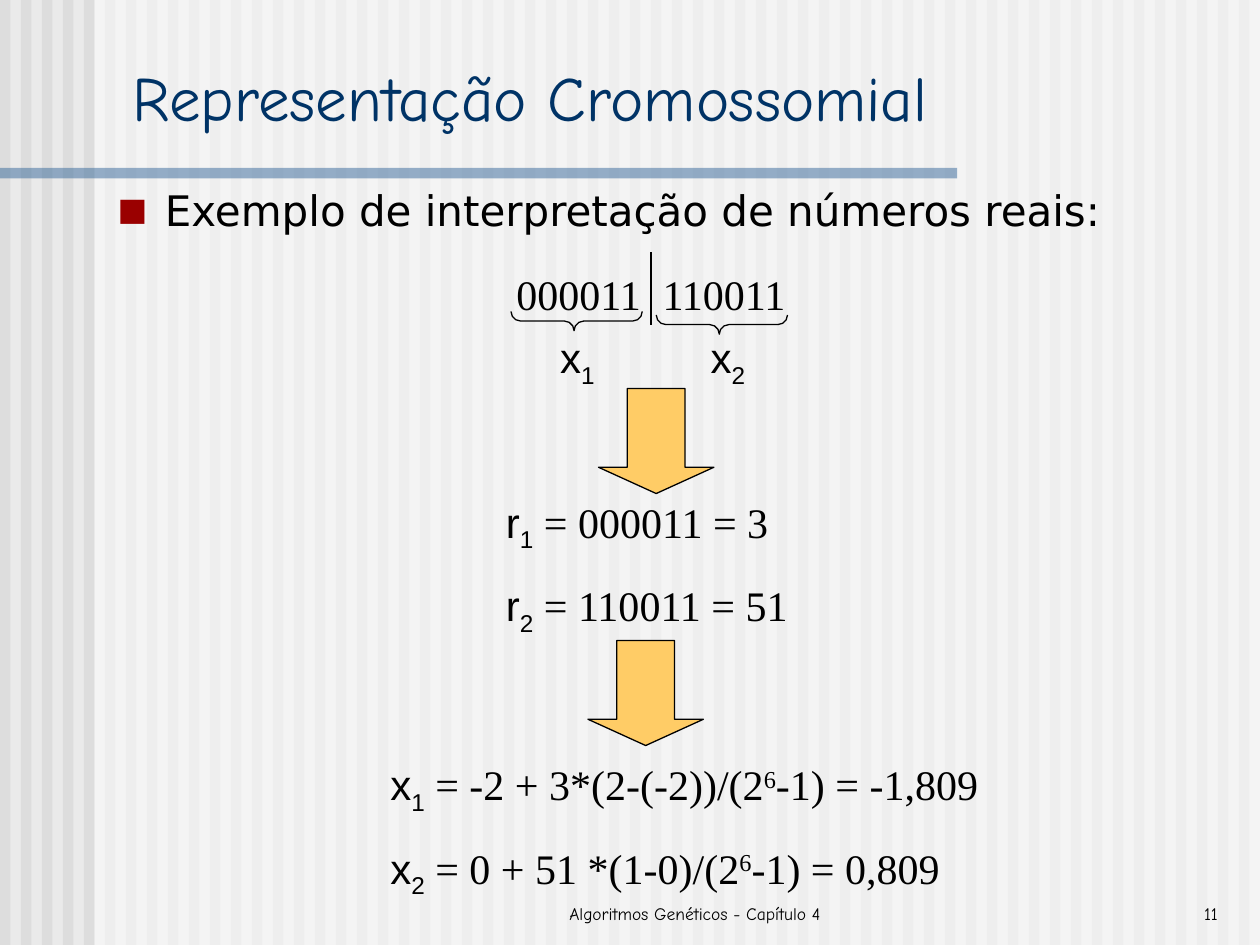
from lxml.etree import SubElement
from pptx import Presentation
from pptx.dml.color import RGBColor
from pptx.enum.shapes import MSO_CONNECTOR as CONN, MSO_SHAPE as SHAPE
from pptx.enum.text import MSO_ANCHOR as ANCHOR, MSO_AUTO_SIZE as AUTO, PP_ALIGN as ALIGN
from pptx.oxml.ns import qn
from pptx.util import Pt


def rgb(value):
    return RGBColor.from_string(value)


class Slide:
    title_font, body_font = "Comic Neue", "DejaVu Sans"
    serif, sans = "Times New Roman", "Arial"
    ink, title_ink, bullet_ink = "000000", "003366", "9A0000"

    def __init__(self, prs):
        self.s = prs.slides.add_slide(prs.slide_layouts[1])
        fill = self.s.background.fill
        fill.solid()
        fill.fore_color.rgb = rgb("EAEAEA")

    def shape(self, kind, box, fill=None, line=None, alpha=None, adj=(), rotation=0):
        sp = self.s.shapes.add_shape(kind, *map(Pt, box))
        sp.shadow.inherit = False
        sp.rotation = rotation
        for i, value in enumerate(adj):
            sp.adjustments[i] = value
        if fill:
            sp.fill.solid()
            sp.fill.fore_color.rgb = rgb(fill)
        else:
            sp.fill.background()
        if alpha:
            clr = sp.element.spPr.find(qn("a:solidFill")).find(qn("a:srgbClr"))
            SubElement(clr, qn("a:alpha"), val=str(alpha * 1000))
        if line:
            sp.line.color.rgb = rgb(line)
            sp.line.width = Pt(0.75)
        else:
            sp.line.fill.background()

    def line(self, x1, y1, x2, y2, width):
        cxn = self.s.shapes.add_connector(CONN.STRAIGHT, *map(Pt, (x1, y1, x2, y2)))
        cxn.line.color.rgb = rgb(self.ink)
        cxn.line.width = Pt(width)
        SubElement(cxn.element.spPr, qn("a:effectLst"))

    def run(self, p, text, font, size=24, color=ink, base=0):
        r = p.add_run()
        r.text = text
        r.font.name = font
        r.font.size = Pt(size)
        r.font.color.rgb = rgb(color)
        if base:
            r.font._element.set("baseline", str(base * 1000))

    def placeholder(self, sp, box, anchor):
        self.s.shapes.element.append(sp.element)
        sp.left, sp.top, sp.width, sp.height = map(Pt, box)
        tf = sp.text_frame
        tf.auto_size = AUTO.NONE
        tf.vertical_anchor = anchor
        return tf.paragraphs[0]

    def title(self, text, box):
        p = self.placeholder(self.s.shapes.title, box, ANCHOR.BOTTOM)
        p.alignment = ALIGN.LEFT
        self.run(p, text, self.title_font, 36, self.title_ink)

    def bullet(self, text, box):
        p = self.placeholder(self.s.placeholders[1], box, ANCHOR.TOP)
        p.alignment = ALIGN.JUSTIFY
        p.space_before = Pt(6)
        pPr = p._p.get_or_add_pPr()
        pPr.set("marL", str(Pt(27)))
        pPr.set("indent", str(Pt(-27)))
        clr = SubElement(pPr, qn("a:buClr"))
        SubElement(clr, qn("a:srgbClr"), val=self.bullet_ink)
        SubElement(pPr, qn("a:buSzPct"), val="75000")
        SubElement(pPr, qn("a:buFont"), typeface=self.body_font)
        SubElement(pPr, qn("a:buChar"), char="■")
        self.run(p, text, self.body_font)

    def text(self, box, lines, align=ALIGN.LEFT, anchor=ANCHOR.TOP, wrap=True, tab=None):
        tf = self.s.shapes.add_textbox(*map(Pt, box)).text_frame
        tf.word_wrap = wrap
        tf.vertical_anchor = anchor
        for i, runs in enumerate(lines):
            p = tf.add_paragraph() if i else tf.paragraphs[0]
            p.alignment = align
            if i:
                p.space_before = Pt(15)
            if tab:
                tabs = SubElement(p._p.get_or_add_pPr(), qn("a:tabLst"))
                SubElement(tabs, qn("a:tab"), pos=str(Pt(tab)), algn="l")
            for run in runs:
                self.run(p, **run)

    def variable(self, name, index):
        return [dict(text=name, font=self.sans), dict(text=index, font=self.sans, base=-25)]

    def serif_run(self, text, base=0):
        return dict(text=text, font=self.serif, base=base)

    def formula(self, name, index, head, tail):
        return self.variable(name, index) + [
            self.serif_run(head), self.serif_run("6", 30), self.serif_run(tail)]

    def footer(self, text, box, align):
        run = dict(text=text, font=self.title_font, size=10)
        self.text(box, [[run]], align, ANCHOR.BOTTOM)


def main():
    prs = Presentation()
    prs.slide_width, prs.slide_height = Pt(720), Pt(540)
    s = Slide(prs)

    for i in range(60):
        s.shape(SHAPE.RECTANGLE, (12 * i, 0, 6, 540), "DDDDDD")
    s.shape(SHAPE.RECTANGLE, (54, 0, 666, 540), "FFFFFF", alpha=50)
    s.shape(SHAPE.RECTANGLE, (0, 96, 547, 6), "336699", alpha=50)

    s.bullet("Exemplo de interpretação de números reais:", (60, 102, 638.5, 366))
    s.title("Representação Cromossomial", (68.5, 30, 643, 50.5))

    s.text((288, 150, 204, 80), [[s.serif_run("000011\t110011")]], tab=83.5)
    s.line(372, 144, 372, 186, 1.5)
    for left, top in ((324, 146), (407, 148)):
        s.shape(SHAPE.RIGHT_BRACE, (left, top, 11, 75), line=s.ink,
                adj=(0.5, 0.52), rotation=90)
    for index, left, width in (("1", 313, 34), ("2", 399, 38)):
        s.text((left, 186, width, 40), [s.variable("x", index)], wrap=False)

    s.text((282, 280, 204, 132), [
        s.variable("r", "1") + [s.serif_run(" = 000011 = 3")],
        s.variable("r", "2") + [s.serif_run(" = 110011 = 51")],
    ])
    s.text((216, 430, 402, 132), [
        s.formula("x", "1", " = -2 + 3*(2-(-2))/(2", "-1) = -1,809"),
        s.formula("x", "2", " = 0 + 51 *(1-0)/(2", "-1) = 0,809"),
    ])
    for left, top in ((342, 222), (336, 366)):
        s.shape(SHAPE.DOWN_ARROW, (left, top, 66, 60), "FFCC66", s.ink, adj=(0.5, 0.25))

    s.footer("Algoritmos Genéticos - Capítulo 4", (283, 495.5, 228, 36), ALIGN.CENTER)
    s.footer("11", (553, 495.5, 150, 36), ALIGN.RIGHT)
    prs.save("out.pptx")


if __name__ == "__main__":
    main()
